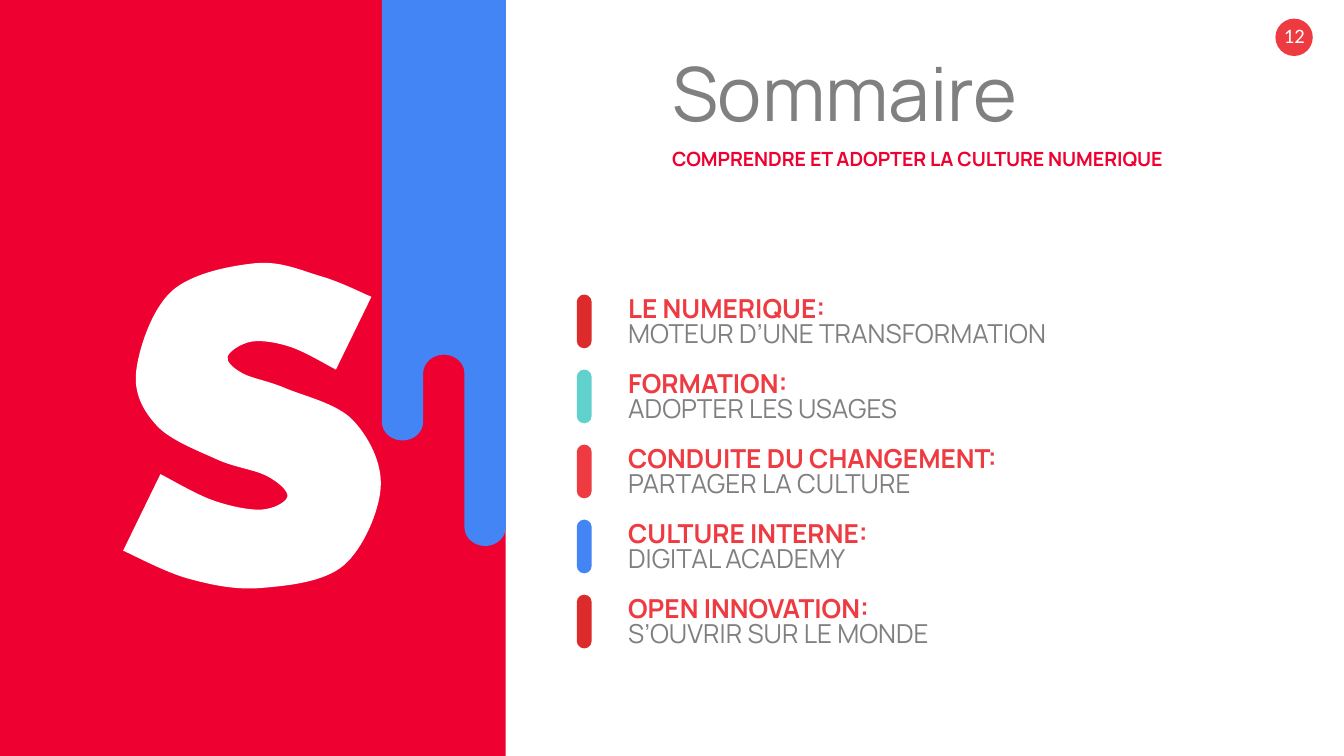
from pptx import Presentation
from pptx.dml.color import RGBColor
from pptx.enum.shapes import MSO_SHAPE
from pptx.enum.text import MSO_ANCHOR, PP_ALIGN
from pptx.oxml.ns import qn
from pptx.util import Pt

RECT, ROUNDED = MSO_SHAPE.RECTANGLE, MSO_SHAPE.ROUNDED_RECTANGLE
TOP, MIDDLE = MSO_ANCHOR.TOP, MSO_ANCHOR.MIDDLE
LEFT, CENTER = PP_ALIGN.LEFT, PP_ALIGN.CENTER

RED, CORAL, BRICK = "EE0031", "EE3B42", "DD2B2B"
BLUE, TEAL, GREY, WHITE = "4385F5", "61D1CE", "808080", "FFFFFF"

S_RIGHT = [
    (180, 198), (156, 186), (135, 183), (122, 191), (130, 200), (153, 208),
    (189, 225), (204, 261), (184, 303), (140, 315), (101, 310), (66, 295),
]
S_LEFT = [
    (86, 254), (114, 268), (140, 273), (154, 266), (143, 255), (116, 246),
    (84, 228), (73, 199), (92, 156), (137, 141), (172, 148), (199, 159),
]
TOPICS = [
    ("LE NUMERIQUE:", "MOTEUR D’UNE TRANSFORMATION", BRICK),
    ("FORMATION:", "ADOPTER LES USAGES", TEAL),
    ("CONDUITE DU CHANGEMENT:", "PARTAGER LA CULTURE", CORAL),
    ("CULTURE INTERNE:", "DIGITAL ACADEMY", BLUE),
    ("OPEN INNOVATION:", "S’OUVRIR SUR LE MONDE", BRICK),
]


def rgb(value):
    return RGBColor.from_string(value)


def smooth(points):
    padded = [points[0], *points, points[-1]]
    segments = [[points[0]]]
    for a, b, c, d in zip(padded, padded[1:], padded[2:], padded[3:]):
        leave = [q + (t - o) / 6 for o, q, t in zip(a, b, c)]
        arrive = [q - (t - o) / 6 for o, q, t in zip(b, c, d)]
        segments.append([leave, arrive, c])
    return segments


def drips(left, right, ends):
    width = (right - left) / len(ends)
    radius, bend = width / 2, 0.45
    segments = [[(left, 0)]]
    for i, end in enumerate(ends):
        x0, x1 = left + i * width, left + (i + 1) * width
        rise = -10 if i % 2 else 10
        base, mid = end - rise, x0 + radius
        pull = base + rise * (1 - bend)
        inset = radius * bend
        segments += [
            [(x0, base)],
            [(x0, pull), (x0 + inset, end), (mid, end)],
            [(x1 - inset, end), (x1, pull), (x1, base)],
        ]
    return segments + [[(right, 0)]]


class Deck:
    """Holds the text style and the current slide, and draws its elements."""

    font = "Manrope"

    def __init__(self, width, height):
        self.prs = Presentation()
        self.prs.slide_width, self.prs.slide_height = Pt(width), Pt(height)
        self.s = self.prs.slides.add_slide(self.prs.slide_layouts[6])

    def paint(self, sp, color):
        sp.shadow.inherit = False
        sp.fill.solid()
        sp.fill.fore_color.rgb = rgb(color)
        sp.line.fill.background()

    def box(self, kind, x, y, w, h, color):
        sp = self.s.shapes.add_shape(kind, Pt(x), Pt(y), Pt(w), Pt(h))
        if kind == ROUNDED:
            sp.adjustments[0] = 0.5
        self.paint(sp, color)

    def outline(self, segments, color):
        points = [(Pt(x), Pt(y)) for seg in segments for x, y in seg]
        builder = self.s.shapes.build_freeform(*points[0])
        builder.add_line_segments(points[1:], close=True)
        sp = builder.convert_to_shape()
        steps = iter(list(sp._element.iter(qn("a:lnTo"))))
        for seg in segments[1:]:
            step = next(steps)
            if len(seg) == 3:
                step.tag = qn("a:cubicBezTo")
                for extra in (next(steps), next(steps)):
                    step.append(extra[0])
                    extra.getparent().remove(extra)
        self.paint(sp, color)

    def text(self, x, y, w, h, runs, margins=(0, 0, 0, 0), anchor=TOP,
             align=LEFT, spacing=0.8):
        sp = self.s.shapes.add_textbox(Pt(x), Pt(y), Pt(w), Pt(h))
        tf = sp.text_frame
        tf.word_wrap, tf.vertical_anchor = True, anchor
        for side, margin in zip(("left", "top", "right", "bottom"), margins):
            setattr(tf, f"margin_{side}", Pt(margin))
        p = tf.paragraphs[0]
        p.alignment, p.line_spacing = align, spacing
        for i, (words, color, style) in enumerate(runs):
            if i:
                p.add_line_break()
            r = p.add_run()
            r.text = words
            r.font.color.rgb = rgb(color)
            for name, value in {"name": self.font, **style}.items():
                setattr(r.font, name, value)


def main():
    deck = Deck(720, 405)
    deck.box(ROUNDED, 683.3, 10, 20, 20, CORAL)
    deck.text(671.8, 8, 43.2, 21.6,
              [("12", WHITE, {"name": "Calibri", "size": Pt(11)})],
              anchor=MIDDLE, align=CENTER, spacing=1.0)

    deck.box(RECT, 0, 0, 271, 405, RED)
    deck.outline(smooth(S_RIGHT) + smooth(S_LEFT), WHITE)
    deck.outline(drips(204.6, 271, (236, 190, 292.5)), BLUE)

    heading = (0, 3.6, 7.2, 3.6)
    deck.text(360, 28.8, 323.3, 45.4,
              [("Sommaire", GREY, {"size": Pt(40)})], heading, spacing=0.85)
    deck.text(360, 77.8, 323.3, 17.3,
              [("COMPRENDRE ET ADOPTER LA CULTURE NUMERIQUE", RED,
                {"size": Pt(10.5), "bold": True})], heading)

    for i, (title, detail, color) in enumerate(TOPICS):
        offset = i * 40.2
        deck.box(ROUNDED, 309, 157.8 + offset, 8, 28.8, color)
        deck.text(336.5, 154 + offset, 298, 33,
                  [(title, CORAL, {"size": Pt(14), "bold": True}),
                   (detail, GREY, {"size": Pt(14), "bold": False})],
                  (0, 5.8, 0, 5.8))
    deck.prs.save("out.pptx")


if __name__ == "__main__":
    main()
